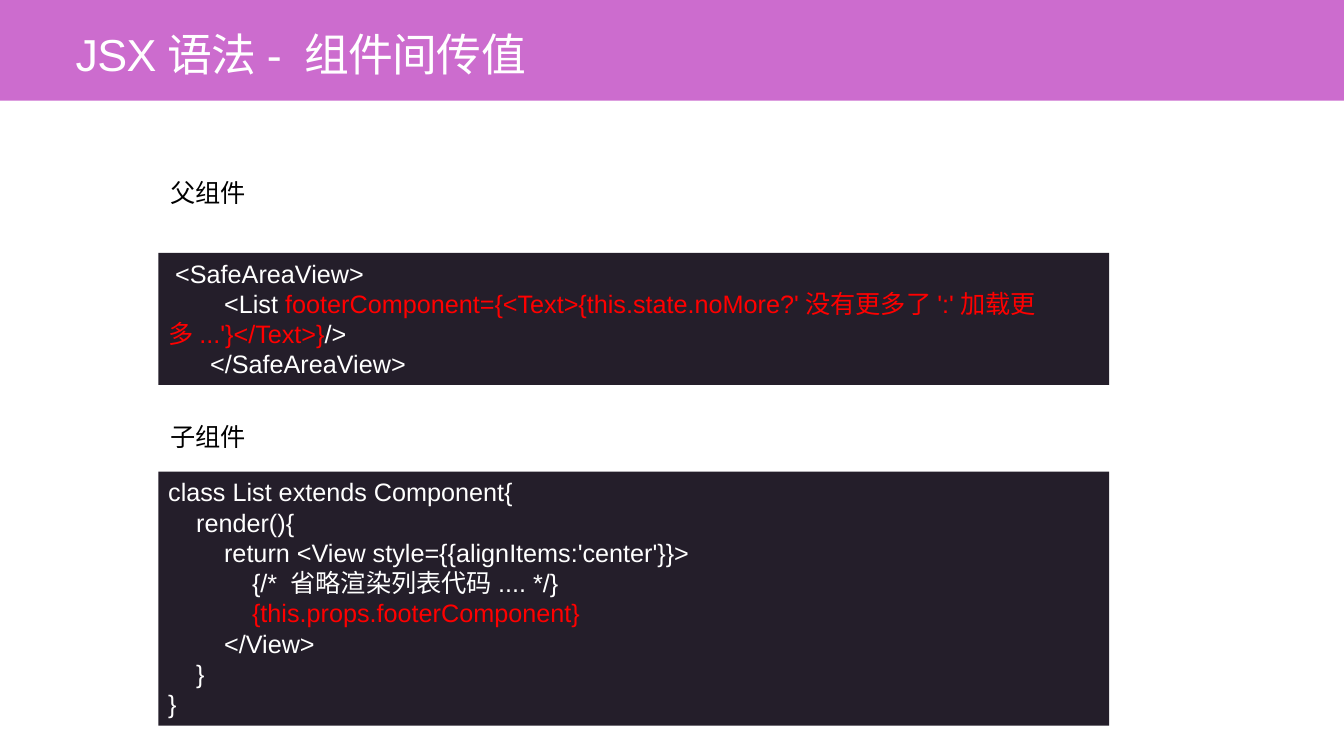
from dataclasses import dataclass

from pptx import Presentation
from pptx.dml.color import RGBColor
from pptx.enum.shapes import MSO_SHAPE as Shape
from pptx.enum.text import MSO_ANCHOR as Anchor, MSO_AUTO_SIZE as Fit, PP_ALIGN as Align
from pptx.util import Inches, Pt


@dataclass(frozen=True)
class Theme:
    """Colours, font and type sizes of the slide."""
    band: str = "CC6CCE"
    panel: str = "241E2A"
    light: str = "FFFFFF"
    dark: str = "000000"
    accent: str = "FF0000"
    font: str = "Arial"
    title: int = 32
    body: int = 18


THEME = Theme()
WIDTH, HEIGHT = 13.33, 7.5
CODE_LEFT, CODE_WIDTH = 1.57, 9.43
LABEL_LEFT, LABEL_HEIGHT = 1.59, 0.4

PARENT_CODE = [
    [(" <SafeAreaView>", False)],
    [("        <List ", False),
     ("footerComponent={<Text>{this.state.noMore?'没有更多了':'加载更多...'}</Text>}", True),
     ("/>", False)],
    [("      </SafeAreaView>", False)],
]
CHILD_CODE = [
    [("class List extends Component{", False)],
    [("    render(){", False)],
    [("        return <View style={{alignItems:'center'}}>", False)],
    [("            {/* 省略渲染列表代码.... */}", False)],
    [("            {this.props.footerComponent}", True)],
    [("        </View>", False)],
    [("    }", False)],
    [("}", False)],
]


def rgb(color):
    """Return a colour object for a hex string."""
    return RGBColor.from_string(color)


def set_font(font, size, color):
    """Apply the theme font with a size and a colour."""
    font.name, font.size = THEME.font, Pt(size)
    font.color.rgb = rgb(color)


def add_panel(s, left, top, width, height, color):
    """Add a plain filled rectangle and return it."""
    sp = s.shapes.add_shape(Shape.RECTANGLE, *map(Inches, (left, top, width, height)))
    sp.shadow.inherit = False
    sp.fill.solid()
    sp.fill.fore_color.rgb = rgb(color)
    sp.line.fill.background()
    return sp


def add_text(s, text, left, top, width, height, size, color):
    """Add a one-paragraph text box and return its frame."""
    tf = s.shapes.add_textbox(*map(Inches, (left, top, width, height))).text_frame
    tf.word_wrap = True
    p = tf.paragraphs[0]
    p.text = text
    set_font(p.font, size, color)
    return tf


def add_title(s, text):
    """Add the title band with its heading."""
    add_panel(s, 0, 0, WIDTH, 1, THEME.band)
    tf = add_text(s, text, 0.67, 0.17, 12, 0.67, THEME.title, THEME.light)
    tf.vertical_anchor = Anchor.BOTTOM
    tf.margin_left = tf.margin_right = Inches(0.08)
    tf.margin_top = tf.margin_bottom = Inches(0.04)
    tf.paragraphs[0].runs[0].font._element.set("spc", "-50")


def add_label(s, text, top, width):
    """Add the name of a component above its code."""
    tf = add_text(s, text, LABEL_LEFT, top, width, LABEL_HEIGHT, THEME.body, THEME.dark)
    tf.auto_size = Fit.SHAPE_TO_FIT_TEXT


def add_code(s, lines, top, height):
    """Add a dark code panel whose marked pieces stand out."""
    tf = add_panel(s, CODE_LEFT, top, CODE_WIDTH, height, THEME.panel).text_frame
    tf.word_wrap = True
    tf.auto_size = Fit.SHAPE_TO_FIT_TEXT
    tf.vertical_anchor = Anchor.TOP
    for i, line in enumerate(lines):
        p = tf.add_paragraph() if i else tf.paragraphs[0]
        p.alignment = Align.LEFT
        set_font(p.font, THEME.body, THEME.light)
        for text, marked in line:
            r = p.add_run()
            r.text = text
            set_font(r.font, THEME.body, THEME.accent if marked else THEME.light)


def main():
    """Build the slide and save it."""
    prs = Presentation()
    prs.slide_width, prs.slide_height = Inches(WIDTH), Inches(HEIGHT)
    s = prs.slides.add_slide(prs.slide_layouts[6])
    add_title(s, "JSX语法- 组件间传值")
    add_label(s, "父组件", 1.71, 4.34)
    add_code(s, PARENT_CODE, 2.51, 1.31)
    add_label(s, "子组件", 4.13, 3.9)
    add_code(s, CHILD_CODE, 4.68, 2.52)
    prs.save("out.pptx")


if __name__ == "__main__":
    main()
